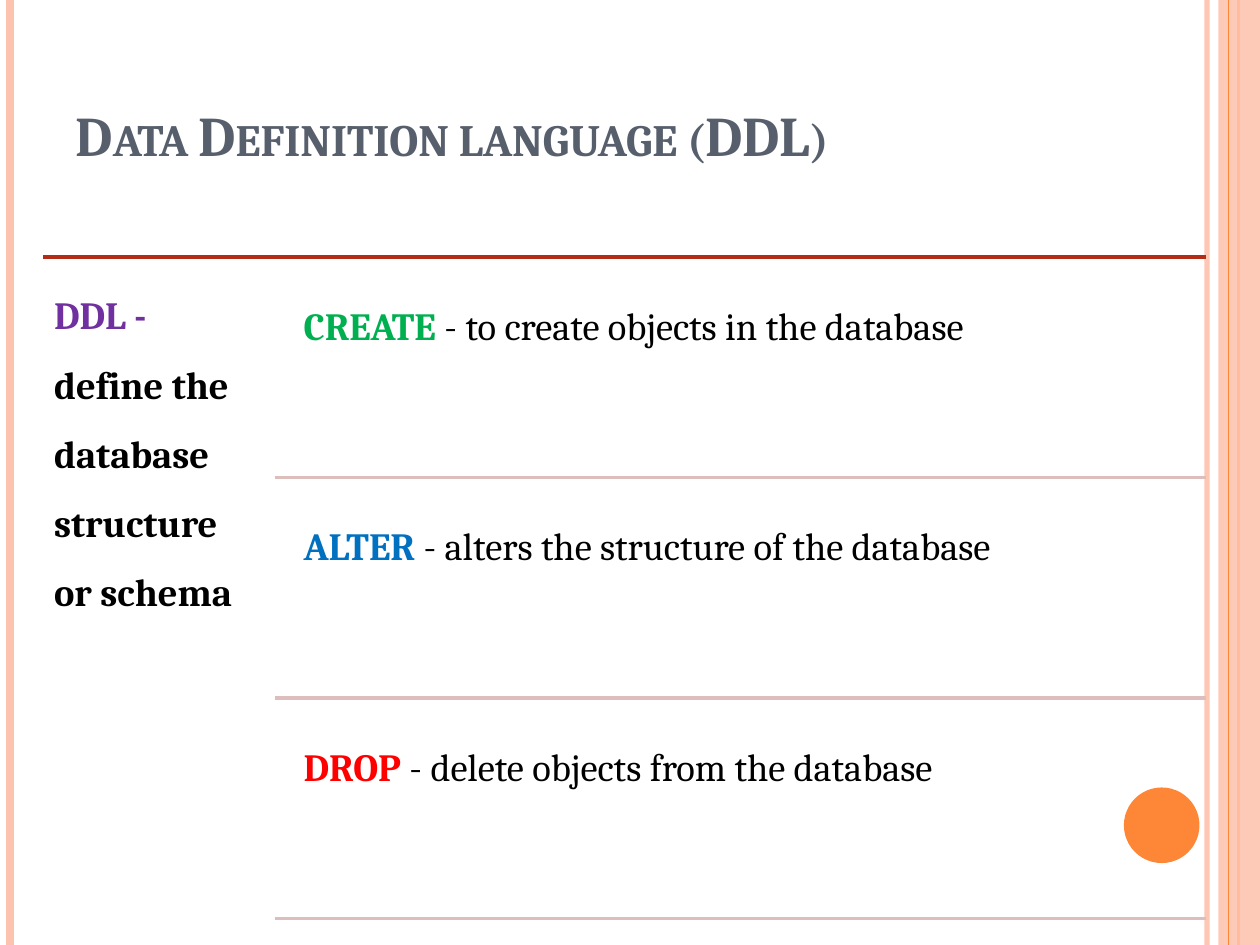
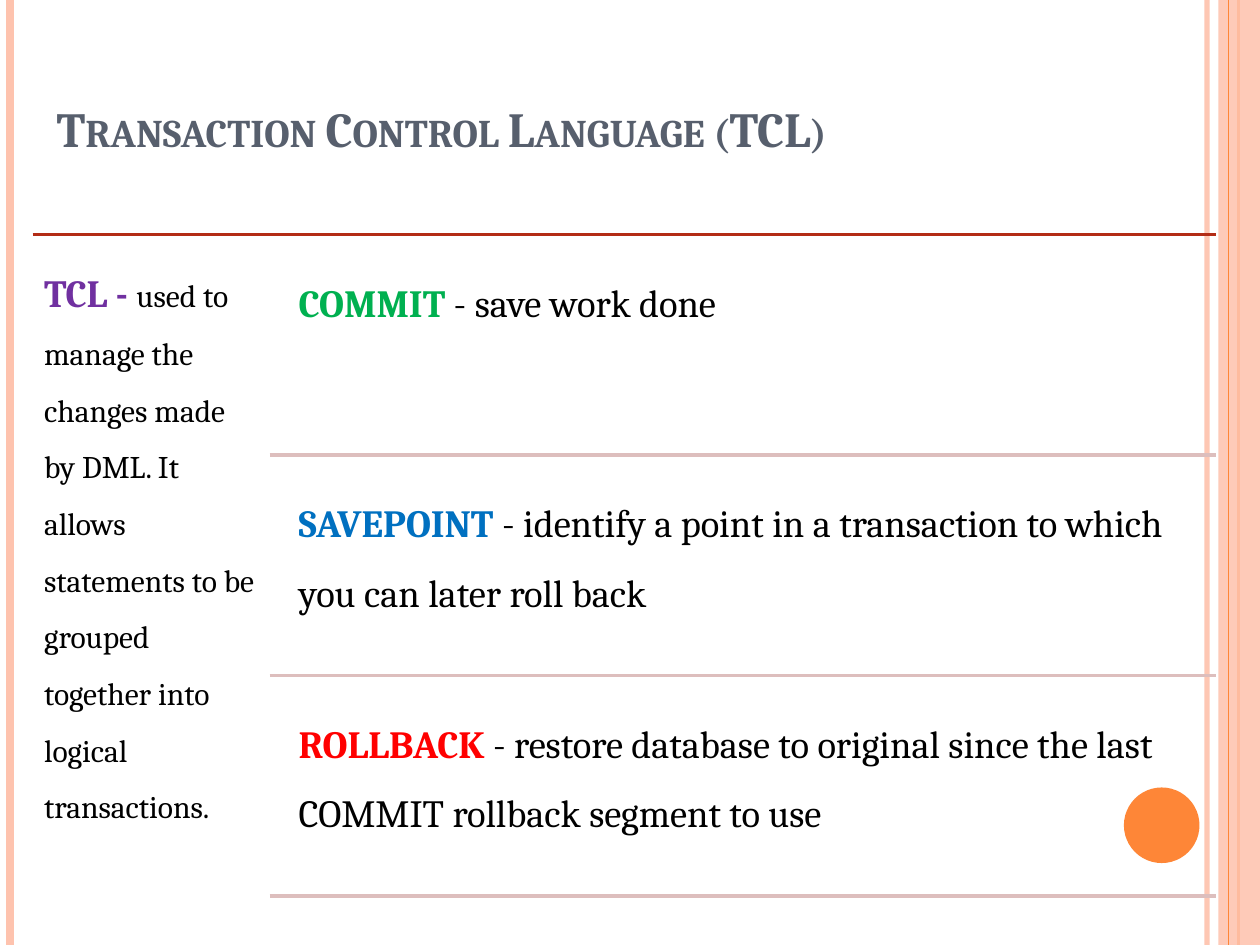
"""Builds two slides on SQL command groups, DDL and TCL."""
from pptx import Presentation
from pptx.dml.color import RGBColor
from pptx.enum.shapes import MSO_CONNECTOR as CONN, MSO_SHAPE as SHAPE
from pptx.enum.text import MSO_ANCHOR as ANCHOR, MSO_AUTO_SIZE as AUTO
from pptx.oxml.ns import qn
from pptx.util import Inches, Pt
from lxml.etree import SubElement

FONT = "Cambria"
PEACH, ORANGE = "FEC3AE", "FE8637"
TITLE, RULE, ROW_RULE = "575F6D", "B32C16", "DDBEBD"
PURPLE, BLACK = "7030A0", "000000"
COMMAND_COLORS = ["00B050", "0070C0", "FF0000"]
ROW_H = 1.75
color = RGBColor.from_string


def add_line(s, x1, y1, x2, y2, hex_color, width):
    ln = s.shapes.add_connector(CONN.STRAIGHT, Inches(x1), Inches(y1), Inches(x2), Inches(y2))
    ln.line.color.rgb = color(hex_color)
    ln.line.width = Pt(width)
    SubElement(ln._element.spPr, qn("a:effectLst"))
    return ln


def add_text(s, x, y, w, h, runs):
    tf = s.shapes.add_textbox(Inches(x), Inches(y), Inches(w), Inches(h)).text_frame
    tf.word_wrap = True
    tf.margin_left = tf.margin_right = tf.margin_top = tf.margin_bottom = Inches(0.09)
    p = tf.paragraphs[0]
    p.line_spacing = 1.5
    for text, size, hex_color, bold in runs:
        r = p.add_run()
        r.text = text
        r.font.name, r.font.size, r.font.bold = FONT, Pt(size), bold
        r.font.color.rgb = color(hex_color)


prs = Presentation()
prs.slide_width, prs.slide_height = Inches(10), Inches(7.5)
layout = prs.slide_layouts[5]

slides = [
    dict(title="Data Definition language (DDL)", title_at=(0.5, 0.13), title_size=32,
         left=0.34, top=2.04, right=9.57, side_w=1.84,
         side=[("DDL - ", 22, PURPLE, True),
               ("define the database structure or schema", 22, BLACK, True)],
         commands=[("CREATE", " - to create objects in the database"),
                   ("ALTER", " - alters the structure of the database"),
                   ("DROP", " - delete objects from the database")]),
    dict(title="Transaction Control Language (TCL)", title_at=(0.35, 0.05), title_size=28,
         left=0.26, top=1.86, right=9.65, side_w=1.88,
         side=[("TCL - ", 22, PURPLE, True),
               ("used to manage the changes made by DML. It allows statements to be "
                "grouped together into logical transactions.", 18, BLACK, False)],
         commands=[("COMMIT", " - save work done"),
                   ("SAVEPOINT", " - identify a point in a transaction to which "
                    "you can later roll back"),
                   ("ROLLBACK", " - restore database to original since the last "
                    "COMMIT rollback segment to use")]),
]

for n, data in enumerate(slides):
    s = prs.slides.add_slide(layout)

    if n == 0:
        frame = [add_line(s, x, 0, x, 7.5, c, w) for x, c, w in
                 [(9.58, PEACH, 3), (0.08, PEACH, 4.5), (9.83, ORANGE, 1.5)]]
        band = s.shapes.add_shape(SHAPE.RECTANGLE, Inches(9.67), 0, Inches(0.33), Inches(7.5))
        edge = add_line(s, 9.75, 0, 9.75, 7.5, ORANGE, 0.75)
        dot = s.shapes.add_shape(SHAPE.OVAL, Inches(8.92), Inches(6.25), Inches(0.6), Inches(0.6))
        for sp, c in [(band, PEACH), (dot, ORANGE)]:
            sp.shadow.inherit = False
            sp.fill.solid()
            sp.fill.fore_color.rgb = color(c)
            sp.line.fill.background()
        for sp, alpha in [(frame[0], 93000), (band, 87000)]:
            clr = next(sp._element.spPr.iter(qn("a:srgbClr")))
            SubElement(clr, qn("a:alpha")).set("val", str(alpha))
        for sp in frame + [band, edge, dot]:
            layout.shapes._spTree.append(sp._element)

    title = s.shapes.title
    title.left, title.top = [Inches(v) for v in data["title_at"]]
    title.width, title.height = Inches(8.17), Inches(1.25)
    tf = title.text_frame
    tf.auto_size = AUTO.NONE
    tf.word_wrap = True
    tf.vertical_anchor = ANCHOR.BOTTOM
    p = tf.paragraphs[0]
    p.alignment = 1
    r = p.add_run()
    r.text = data["title"]
    r.font.name, r.font.size, r.font.bold = FONT, Pt(data["title_size"]), True
    r.font.color.rgb = color(TITLE)
    r._r.get_or_add_rPr().set("cap", "small")

    left, top, right, side_w = [data[k] for k in ("left", "top", "right", "side_w")]
    add_line(s, left, top, right, top, RULE, 2)
    add_text(s, left, top, side_w, 5.33, data["side"])
    rows_x = left + side_w
    text_x = rows_x + 0.14
    for i, (command, meaning) in enumerate(data["commands"]):
        y = top + i * ROW_H
        add_text(s, text_x, y + 0.08, right - text_x, 1.67,
                 [(command, 22, COMMAND_COLORS[i], True), (meaning, 22, BLACK, False)])
        add_line(s, rows_x, y + ROW_H, right, y + ROW_H, ROW_RULE, 2)

prs.save("out.pptx")
